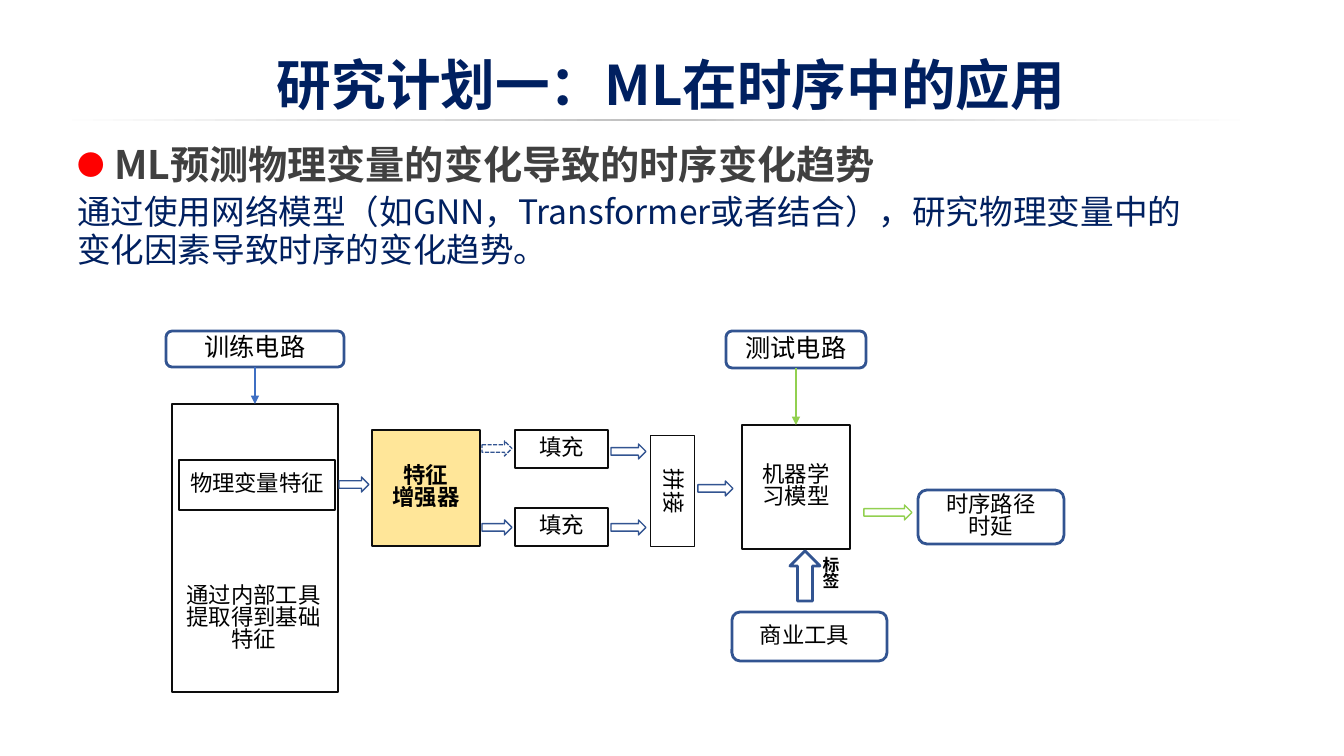
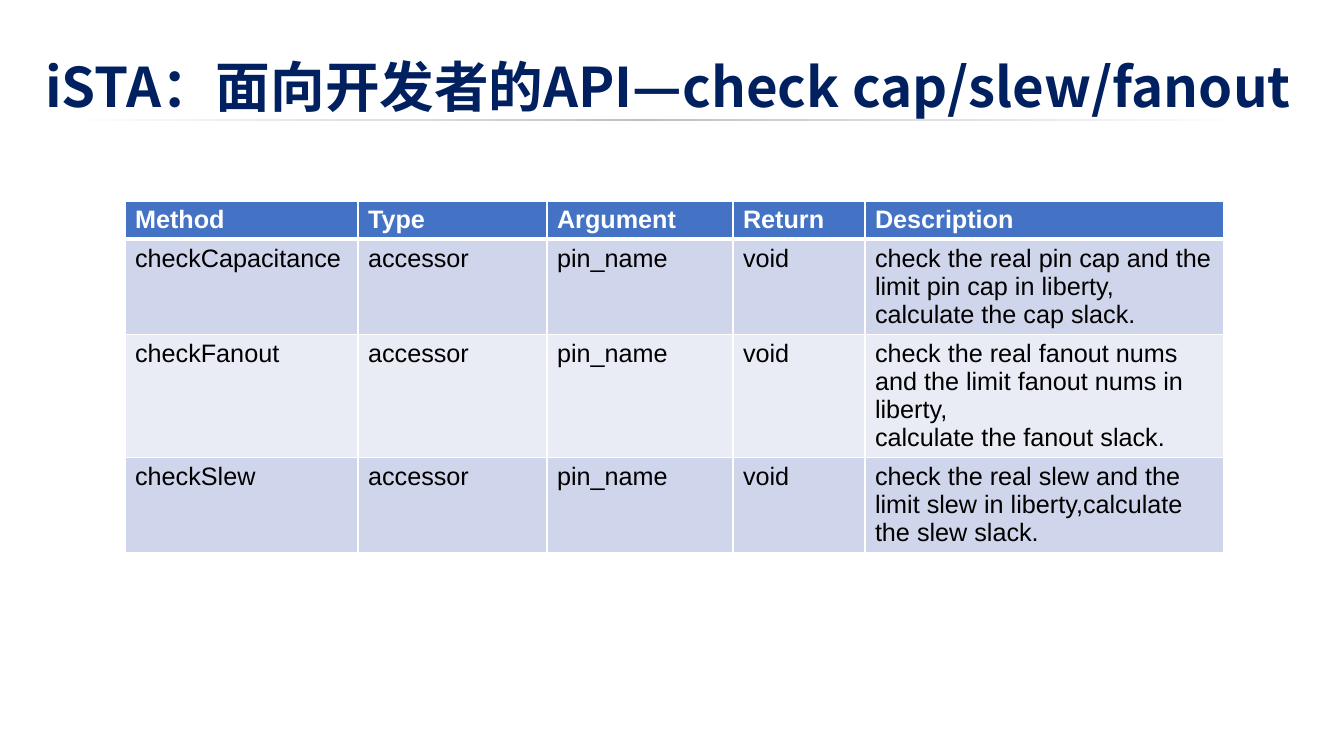
from lxml import etree
from pptx import Presentation
from pptx.dml.color import RGBColor
from pptx.enum import dml, shapes, text
from pptx.oxml.ns import qn
from pptx.util import Pt

SCALE = 914400 / 100.8
NAVY = RGBColor(0x00, 0x20, 0x60)
GRAY = RGBColor(0x40, 0x40, 0x40)
RED = RGBColor(0xFF, 0x00, 0x00)
INK = RGBColor(0x0D, 0x0D, 0x0D)
BLACK = RGBColor(0, 0, 0)
WHITE = RGBColor(0xFF, 0xFF, 0xFF)
BLUE = RGBColor(0x32, 0x54, 0x91)
SKY = RGBColor(0x3F, 0x6F, 0xC3)
GREEN = RGBColor(0x92, 0xD0, 0x50)
SAND = RGBColor(0xFF, 0xE6, 0x99)
HEAD = RGBColor(0x44, 0x72, 0xC4)
BANDS = RGBColor(0xE9, 0xEB, 0xF5), RGBColor(0xCF, 0xD5, 0xEA)
FADE = [(0, "FFFFFF"), (27, "E0E0E0"), (49, "C0C0C0"), (73, "E0E0E0"), (100, "FFFFFF")]
SANS, SERIF = "Noto Sans CJK SC", "Times New Roman"
KIND = shapes.MSO_SHAPE

STEPS = [
    (KIND.RECTANGLE, 179, 460, 156, 50, "物理变量特征"),
    (KIND.RECTANGLE, 515, 430, 93, 38, "填充"),
    (KIND.RECTANGLE, 515, 508, 93, 38, "填充"),
]
ARROWS = [
    (339, 477, 30), (482, 520, 30), (611, 444, 35),
    (611, 520, 35), (698, 481, 35),
]
COLS = [233, 189, 186, 132, 359]
ROWS = [37, 95, 123, 95]
CALLS = [
    ("Method", "Type", "Argument", "Return", "Description"),
    ("checkCapacitance", "accessor", "pin_name", "void",
     "check the real pin cap and the limit pin cap in liberty,\n"
     "calculate the cap slack."),
    ("checkFanout", "accessor", "pin_name", "void",
     "check the real fanout nums and the limit fanout nums in liberty,\n"
     "calculate the fanout slack."),
    ("checkSlew", "accessor", "pin_name", "void",
     "check the real slew and the limit slew in liberty,calculate the slew slack."),
]


def px(n):
    return round(n * SCALE)


def area(*sides):
    return [px(n) for n in sides]


def place(shape, *sides):
    shape.left, shape.top, shape.width, shape.height = area(*sides)


def node(root, tag, **attrs):
    return etree.SubElement(root, qn(tag), attrs)


def style(para, size, color, bold=False, face=SERIF, asian=SANS):
    font = para.font
    font.size, font.bold, font.name = Pt(size), bold, face
    font.color.rgb = color
    node(font._element, "a:ea", typeface=asian)


def bullet(para, indent):
    """Give a hanging red dot, or no bullet when indent is 0."""
    props = para._p.get_or_add_pPr()
    props.set("marL", str(px(indent)))
    props.set("indent", str(px(-indent)))
    if not indent:
        node(props, "a:buNone")
        return
    node(node(props, "a:buClr"), "a:srgbClr", val=str(RED))
    node(props, "a:buSzPct", val="70000")
    node(props, "a:buFont", typeface=SANS)
    node(props, "a:buChar", char="●")


def write(shape, words, size=16, bold=False, pad=0):
    """Centre words in a shape, with pad px at the left and right."""
    frame = shape.text_frame
    frame.word_wrap = True
    frame.vertical_anchor = text.MSO_ANCHOR.MIDDLE
    frame.margin_top = frame.margin_bottom = 0
    frame.margin_left = frame.margin_right = px(pad)
    frame.text = words
    for para in frame.paragraphs:
        para.alignment = text.PP_ALIGN.CENTER
        para.line_spacing = 0.83
        style(para, size, BLACK, bold)


def draw(slide, kind, x, y, w, h, color, weight=1, fill=None):
    shape = slide.shapes.add_shape(kind, *area(x, y, w, h))
    shape.shadow.inherit = False
    if fill is None:
        shape.fill.background()
    else:
        shape.fill.solid()
        shape.fill.fore_color.rgb = fill
    shape.line.color.rgb = color
    shape.line.width = Pt(weight)
    return shape


def box(slide, kind, x, y, w, h, words="", size=16, bold=False, pad=0, fill=None):
    soft = kind == KIND.ROUNDED_RECTANGLE
    shape = draw(slide, kind, x, y, w, h, BLUE if soft else INK, 2 if soft else 1, fill)
    if words:
        write(shape, words, size, bold, pad)
    return shape


def label(slide, x, y, w, h, words, **look):
    write(slide.shapes.add_textbox(*area(x, y, w, h)), words, **look)


def arrow(slide, x, y, w, color=BLUE):
    return draw(slide, KIND.RIGHT_ARROW, x, y, w, 15, color)


def link(slide, above, below, color):
    """Join the bottom of one box to the top of another."""
    line = slide.shapes.add_connector(shapes.MSO_CONNECTOR.STRAIGHT, 0, 0, 0, 0)
    line.begin_connect(above, 2)
    line.end_connect(below, 0)
    line.line.color.rgb = color
    line.line.width = Pt(1.5)
    node(line.line._get_or_add_ln(), "a:tailEnd", type="triangle")
    node(line._element.spPr, "a:effectLst")


def start(deck, layout, words, *sides):
    """Add a slide with its title and the fading rule below."""
    slide = deck.slides.add_slide(deck.slide_layouts[layout])
    rule = slide.shapes.add_shape(KIND.RECTANGLE, *area(52, 119, 1208, 2))
    rule.shadow.inherit = False
    rule.line.fill.background()
    rule.fill.gradient()
    rule.fill.gradient_angle = 0
    stops = rule._element.spPr.find(".//" + qn("a:gsLst"))
    stops.clear()
    for spot, color in FADE:
        node(node(stops, "a:gs", pos=str(spot * 1000)), "a:srgbClr", val=color)
    title = slide.shapes.title
    place(title, *sides)
    frame = title.text_frame
    frame.text = words
    frame.auto_size = text.MSO_AUTO_SIZE.NONE
    frame.vertical_anchor = text.MSO_ANCHOR.BOTTOM
    frame.margin_bottom = 0
    para = frame.paragraphs[0]
    para.alignment = text.PP_ALIGN.CENTER
    style(para, 39, NAVY, True, SANS)
    return slide


def intro(slide):
    body = slide.placeholders[1]
    place(body, 67, 135, 1154, 170)
    frame = body.text_frame
    frame.auto_size = text.MSO_AUTO_SIZE.NONE
    frame.text = (
        "ML预测物理变量的变化导致的时序变化趋势\n"
        "通过使用网络模型（如GNN，Transformer或者结合），"
        "研究物理变量中的变化因素导致时序的变化趋势。")
    looks = [(37, 1.0, 0, 28, GRAY, True), (0, 0.94, 5, 24, NAVY, False)]
    for para, (indent, lead, before, size, color, bold) in zip(frame.paragraphs, looks):
        para.line_spacing = lead
        para.space_before = Pt(before)
        bullet(para, indent)
        style(para, size, color, bold, SANS)


def flow(slide):
    rect, soft = KIND.RECTANGLE, KIND.ROUNDED_RECTANGLE
    base = box(slide, rect, 172, 404, 166, 288)
    label(slide, 168, 574, 171, 90, "通过内部工具提取得到基础特征", pad=10)
    for step in STEPS:
        box(slide, *step)
    box(slide, rect, 372, 430, 108, 116, "特征\n增强器", bold=True, fill=SAND)
    box(slide, rect, 617, 469, 111, 44, "拼接").rotation = 90
    model = box(slide, rect, 742, 425, 108, 124, "机器学习模型", pad=10)
    train = box(slide, soft, 166, 331, 178, 36, "训练电路", 18)
    test = box(slide, soft, 726, 331, 140, 37, "测试电路", 18)
    tool = box(slide, soft, 732, 612, 155, 49, "商业工具")
    tool.text_frame.margin_right = px(10)
    box(slide, soft, 918, 490, 146, 54, "时序路径时延", pad=20)
    link(slide, train, base, SKY)
    link(slide, test, model, GREEN)
    for spot in ARROWS:
        arrow(slide, *spot)
    arrow(slide, 482, 441, 30).line.dash_style = dml.MSO_LINE.SQUARE_DOT
    arrow(slide, 864, 505, 48, GREEN)
    draw(slide, KIND.UP_ARROW, 790, 551, 30, 50, BLUE, 2)
    label(slide, 814, 551, 34, 47, "标签", size=12, bold=True, pad=8)


def edge(cell, **widths):
    """Draw white cell borders; widths are points by side."""
    props = cell._tc.get_or_add_tcPr()
    for spot, side in enumerate("LRTB"):
        line = etree.Element(qn("a:ln" + side), w=str(Pt(widths.get(side, 1))))
        node(node(line, "a:solidFill"), "a:srgbClr", val=str(WHITE))
        props.insert(spot, line)


def methods(slide):
    sides = area(125, 201, sum(COLS), sum(ROWS))
    table = slide.shapes.add_table(len(ROWS), len(COLS), *sides).table
    for col, width in zip(table.columns, COLS):
        col.width = px(width)
    for r, call in enumerate(CALLS):
        table.rows[r].height = px(ROWS[r])
        for c, words in enumerate(call):
            cell = table.cell(r, c)
            cell.fill.solid()
            cell.fill.fore_color.rgb = BANDS[r % 2] if r else HEAD
            edge(cell, T=3 if r == 1 else 1, B=1 if r else 3)
            cell.text_frame.text = words
            for para in cell.text_frame.paragraphs:
                style(para, 18, BLACK if r else WHITE, not r, "Arial")


def main():
    deck = Presentation()
    deck.slide_width, deck.slide_height = area(1344, 756)
    plan = start(deck, 1, "研究计划一：ML在时序中的应用", 67, 13, 1208, 103)
    intro(plan)
    flow(plan)
    methods(start(deck, 5, "iSTA：面向开发者的API—check cap/slew/fanout", 0, 39, 1336, 79))
    deck.save("out.pptx")


if __name__ == "__main__":
    main()
